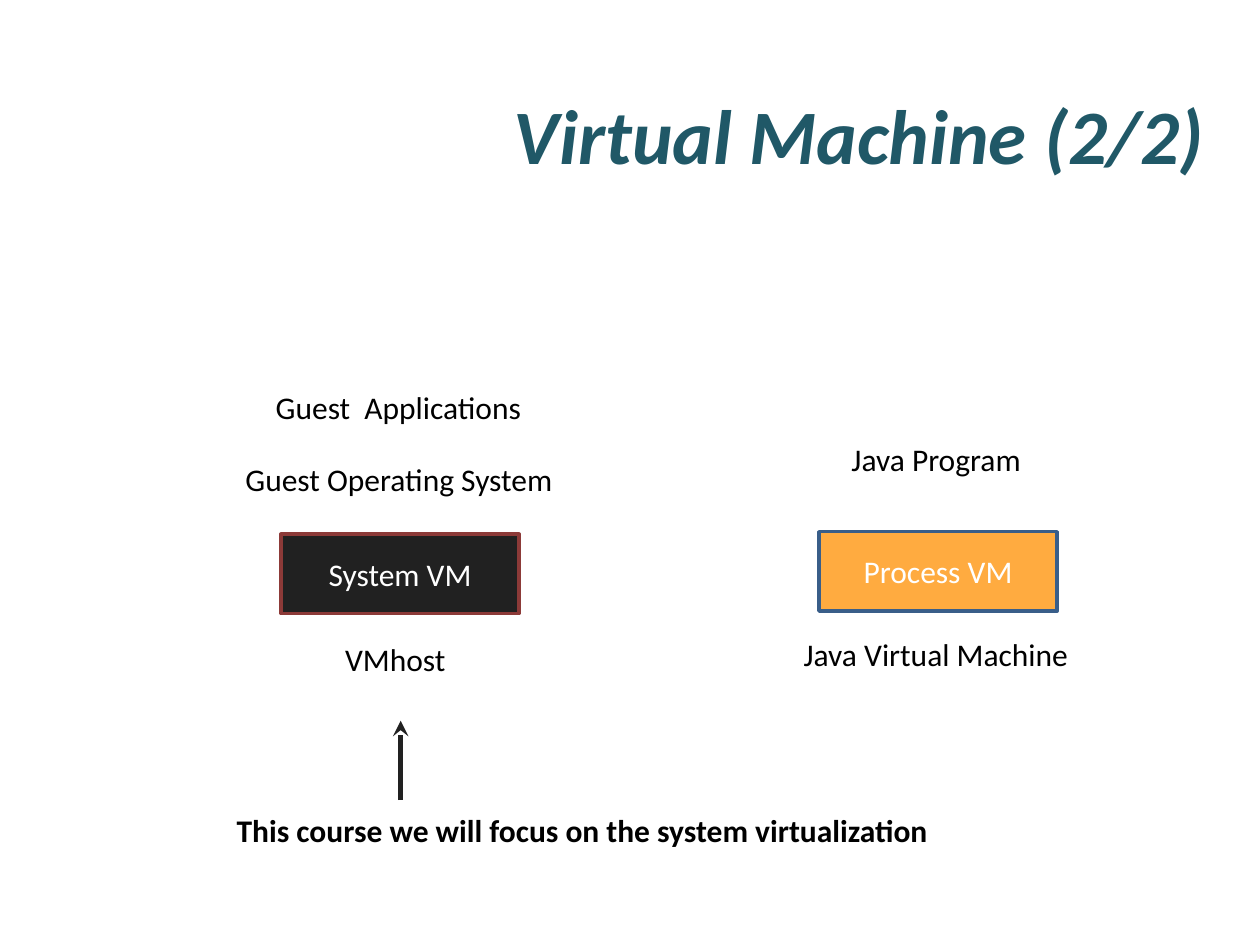
from typing import NamedTuple

from lxml.etree import SubElement
from pptx import Presentation
from pptx.dml.color import RGBColor
from pptx.enum.shapes import MSO_CONNECTOR as Connector, MSO_SHAPE as Shape
from pptx.enum.text import MSO_ANCHOR as Anchor, PP_ALIGN as Align
from pptx.oxml.ns import qn
from pptx.util import Inches, Pt

FONT = "Calibri"
BLACK, WHITE, CHARCOAL, TEAL = "000000", "FFFFFF", "212121", "205867"
BODY = {"name": FONT, "size": Pt(18)}
TITLE = {"name": FONT, "size": Pt(44), "bold": True, "italic": True}
BOX_WIDTH, BOX_HEIGHT = 1.89, 0.63
LABEL_HEIGHT = 0.4
ARROW_X, ARROW_BOTTOM, ARROW_TOP = 3.18, 6.35, 5.72


class MachineBox(NamedTuple):
    text: str
    left: float
    top: float
    fill: str
    line: str


class Label(NamedTuple):
    text: str
    left: float
    top: float
    width: float
    bold: bool = False


BOXES = [
    MachineBox("System VM", 2.23, 4.24, CHARCOAL, "8C3A38"),
    MachineBox("Process VM", 6.5, 4.22, "FFAB40", "395E89"),
]
LABELS = [
    Label("Java Program", 6.66, 3.44, 1.56),
    Label("Guest Operating System", 1.85, 3.6, 2.67),
    Label("Guest  Applications", 2.09, 3.03, 2.17),
    Label("Java Virtual Machine", 6.28, 4.99, 2.33),
    Label("VMhost", 2.64, 5.03, 1.07),
    Label("This course we will focus on the system virtualization", 1.78, 6.39, 5.73, True),
]


def color(value: str) -> RGBColor:
    return RGBColor.from_string(value)


def write(shape, text: str, font_format: dict, font_color: str, align: Align,
          anchor: Anchor, wrap: bool) -> None:
    """Put one formatted paragraph into a shape."""
    frame = shape.text_frame
    frame.word_wrap = wrap
    frame.vertical_anchor = anchor
    paragraph = frame.paragraphs[0]
    paragraph.alignment = align
    run = paragraph.add_run()
    run.text = text
    for name, value in font_format.items():
        setattr(run.font, name, value)
    run.font.color.rgb = color(font_color)


def add_title(slide, text: str) -> None:
    title = slide.shapes.add_textbox(Inches(0.34), Inches(0.65), Inches(9.32), Inches(0.83))
    write(title, text, TITLE, TEAL, Align.RIGHT, Anchor.MIDDLE, True)


def add_box(slide, box: MachineBox) -> None:
    shape = slide.shapes.add_shape(Shape.RECTANGLE, Inches(box.left), Inches(box.top),
                                   Inches(BOX_WIDTH), Inches(BOX_HEIGHT))
    shape.shadow.inherit = False
    shape.fill.solid()
    shape.fill.fore_color.rgb = color(box.fill)
    shape.line.color.rgb = color(box.line)
    shape.line.width = Pt(2)
    write(shape, box.text, BODY, WHITE, Align.CENTER, Anchor.MIDDLE, True)


def add_label(slide, label: Label) -> None:
    shape = slide.shapes.add_textbox(Inches(label.left), Inches(label.top),
                                     Inches(label.width), Inches(LABEL_HEIGHT))
    write(shape, label.text, BODY | {"bold": label.bold}, BLACK, Align.LEFT, Anchor.TOP, False)


def add_focus_arrow(slide) -> None:
    arrow = slide.shapes.add_connector(Connector.STRAIGHT, Inches(ARROW_X), Inches(ARROW_BOTTOM),
                                       Inches(ARROW_X), Inches(ARROW_TOP))
    arrow.line.color.rgb = color(CHARCOAL)
    arrow.line.width = Pt(3)
    SubElement(arrow.line._get_or_add_ln(), qn("a:tailEnd"), type="stealth")
    SubElement(arrow._element.spPr, qn("a:effectLst"))


def main() -> None:
    presentation = Presentation()
    presentation.slide_width, presentation.slide_height = Inches(10), Inches(7.5)
    slide = presentation.slides.add_slide(presentation.slide_layouts[6])
    add_title(slide, "Virtual Machine (2/2)")
    for box in BOXES:
        add_box(slide, box)
    for label in LABELS:
        add_label(slide, label)
    add_focus_arrow(slide)
    presentation.save("out.pptx")


if __name__ == "__main__":
    main()
